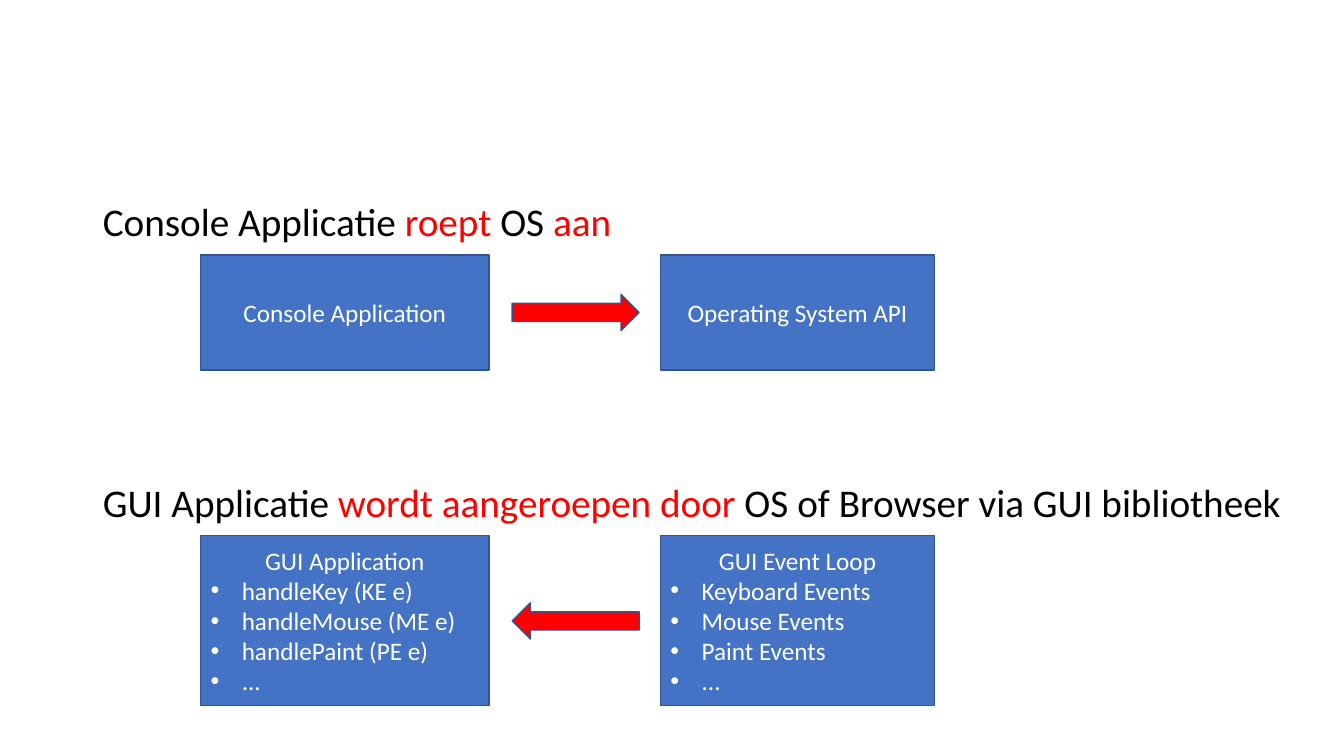
import pptx
import pptx.dml.color
import pptx.enum.shapes
import pptx.enum.text
import pptx.oxml
import pptx.oxml.ns
import pptx.util

Inches, Pt = pptx.util.Inches, pptx.util.Pt
SHAPES = pptx.enum.shapes.MSO_SHAPE
ALIGN = pptx.enum.text.PP_ALIGN
ANCHOR = pptx.enum.text.MSO_ANCHOR

THEME = {
    "font": "Calibri", "heading_size": 28, "box_size": 18,
    "text": "000000", "accent": "FF0000", "box": "4472C4",
    "outline": "325491", "box_text": "FFFFFF",
}

# Each heading: (words, colour) runs and the space before it in points
HEADINGS = [
    ([("Console Applicatie ", "text"), ("roept", "accent"),
      (" OS ", "text"), ("aan", "accent")], 10),
    ([("GUI Applicatie ", "text"), ("wordt aangeroepen door", "accent"),
      (" OS of Browser via GUI bibliotheek", "text")], 170.5),
]
# Each call: application box, callee box (caption, then bullets), geometry
CALLS = [
    {"application": ["Console Application"],
     "system": ["Operating System API"],
     "top": 2.53, "height": 1.14, "arrow_top": 2.92, "rotation": 0},
    {"application": ["GUI Application", "handleKey (KE e)",
                     "handleMouse (ME e)", "handlePaint (PE e)", "..."],
     "system": ["GUI Event Loop", "Keyboard Events", "Mouse Events",
                "Paint Events", "..."],
     "top": 5.31, "height": 1.69, "arrow_top": 5.98, "rotation": 180},
]
COLUMNS = {"application": (1.99, 2.86), "system": (6.55, 2.72)}
ARROW_LEFT, ARROW_WIDTH, ARROW_HEIGHT = 5.08, 1.26, 0.36
BULLET_INDENT = 0.31


def colour(name):
    """Return a theme colour by its name."""
    return pptx.dml.color.RGBColor.from_string(THEME[name])


def apply(target, values):
    """Set every attribute in a dict of format values."""
    for name, value in values.items():
        setattr(target, name, value)


def add_run(paragraph, words, size, ink):
    """Add words in a theme size and colour."""
    run = paragraph.add_run()
    run.text = words
    apply(run.font, {"name": THEME["font"], "size": Pt(THEME[size])})
    run.font.color.rgb = colour(ink)


def set_bullet(paragraph, indent=0, character=None):
    """Give a paragraph a hanging bullet, or none."""
    properties = paragraph._p.get_or_add_pPr()
    properties.set("marL", str(Inches(indent)))
    properties.set("indent", str(-Inches(indent)))
    namespace = pptx.oxml.ns.nsdecls("a")
    if character:
        properties.append(pptx.oxml.parse_xml(
            f'<a:buFont {namespace} typeface="Arial"/>'))
        bullet = f'<a:buChar {namespace} char="{character}"/>'
    else:
        bullet = f"<a:buNone {namespace}/>"
    properties.append(pptx.oxml.parse_xml(bullet))


def paragraphs(frame, count):
    """Return the first paragraph of a frame followed by new ones."""
    return [frame.paragraphs[0]] + [frame.add_paragraph()
                                    for _ in range(count - 1)]


def add_block(slide, preset, left, top, width, height, fill):
    """Add a filled, outlined shape without shadow."""
    block = slide.shapes.add_shape(
        preset, Inches(left), Inches(top), Inches(width), Inches(height))
    block.shadow.inherit = False
    block.fill.solid()
    block.fill.fore_color.rgb = colour(fill)
    block.line.color.rgb = colour("outline")
    block.line.width = Pt(1)
    return block


def add_box(slide, lines, left, top, width, height):
    """Add a box with a centred caption and bulleted lines below it."""
    box = add_block(slide, SHAPES.RECTANGLE, left, top, width, height, "box")
    frame = box.text_frame
    apply(frame, {"word_wrap": True, "vertical_anchor": ANCHOR.MIDDLE})
    for i, (paragraph, words) in enumerate(
            zip(paragraphs(frame, len(lines)), lines)):
        paragraph.alignment = ALIGN.LEFT if i else ALIGN.CENTER
        if i:
            set_bullet(paragraph, BULLET_INDENT, "•")
        add_run(paragraph, words, "box_size", "box_text")


def fill_headings(body):
    """Place the body placeholder and write both headings in it."""
    apply(body, {"left": Inches(0.92), "top": Inches(1.96),
                 "width": Inches(12.23), "height": Inches(5.3)})
    frame = body.text_frame
    apply(frame, {"word_wrap": True, "vertical_anchor": ANCHOR.TOP,
                  "auto_size": pptx.enum.text.MSO_AUTO_SIZE.NONE})
    for paragraph, (runs, space) in zip(
            paragraphs(frame, len(HEADINGS)), HEADINGS):
        apply(paragraph, {"line_spacing": 0.9, "space_before": Pt(space),
                          "alignment": ALIGN.LEFT})
        set_bullet(paragraph)
        for words, ink in runs:
            add_run(paragraph, words, "heading_size", ink)


def main():
    """Build and save the slide."""
    deck = pptx.Presentation()
    apply(deck, {"slide_width": Inches(13.33), "slide_height": Inches(7.5)})
    slide = deck.slides.add_slide(deck.slide_layouts.get_by_name(
        "Title and Content"))
    title = slide.shapes.title.element
    title.getparent().remove(title)
    fill_headings(slide.placeholders[1])
    for call in CALLS:
        for role, (left, width) in COLUMNS.items():
            add_box(slide, call[role], left, call["top"], width,
                    call["height"])
        arrow = add_block(slide, SHAPES.RIGHT_ARROW, ARROW_LEFT,
                          call["arrow_top"], ARROW_WIDTH, ARROW_HEIGHT,
                          "accent")
        arrow.rotation = call["rotation"]
    deck.save("out.pptx")


main()
